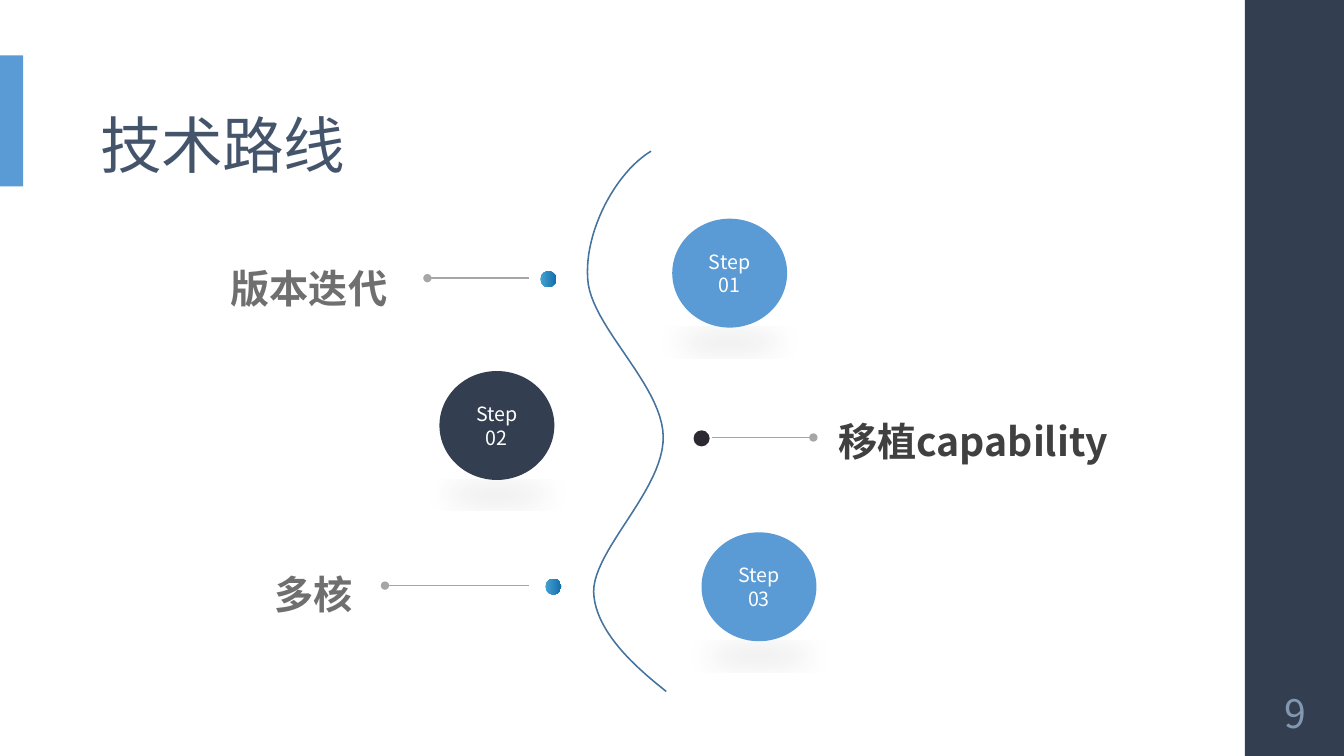
from lxml.etree import SubElement
from pptx import Presentation
from pptx.dml.color import RGBColor
from pptx.enum.shapes import MSO_CONNECTOR, MSO_SHAPE
from pptx.enum.text import MSO_ANCHOR, PP_ALIGN
from pptx.oxml.ns import qn
from pptx.util import Pt

FONT = "Noto Sans CJK SC"
COLORS = {
    "navy": "333F50", "blue": "5B9BD5", "title": "44546A", "number": "8497B0",
    "gray": "6F6F6F", "dark": "404040", "white": "FFFFFF", "wire": "A6A6A6",
    "curve": "43739E", "ink": "2D2933", "sky": "46A2D0", "deep": "146DAD",
    "shadow": "3F3F3F",
}


def rgb(name):
    return RGBColor.from_string(COLORS[name])


def set_all(target, values):
    for key, value in values.items():
        setattr(target, key, value)


class RoadmapSlide:
    def __init__(self, slide):
        self.shapes = slide.shapes

    def fill_text(self, frame, lines, color, size, bold=False, spacing=None,
                  tracking=None, align=PP_ALIGN.LEFT, anchor=MSO_ANCHOR.TOP,
                  insets=(7.2, 3.6)):
        side, end = (Pt(inset) for inset in insets)
        set_all(frame, {"word_wrap": True, "vertical_anchor": anchor,
                        "margin_left": side, "margin_right": side,
                        "margin_top": end, "margin_bottom": end})
        for index, line in enumerate(lines):
            paragraph = frame.add_paragraph() if index else frame.paragraphs[0]
            set_all(paragraph, {"alignment": align, "line_spacing": spacing})
            run = paragraph.add_run()
            run.text = line
            set_all(run.font, {"name": FONT, "size": Pt(size), "bold": bold})
            run.font.color.rgb = rgb(color)
            properties = run.font._element
            SubElement(properties, qn("a:ea")).set("typeface", FONT)
            if tracking:
                properties.set("spc", str(int(tracking * 100)))

    def text(self, box, line, **style):
        frame = self.shapes.add_textbox(*map(Pt, box)).text_frame
        self.fill_text(frame, [line], **style)

    def block(self, kind, box, *fills):
        shape = self.shapes.add_shape(kind, *map(Pt, box))
        shape.shadow.inherit = False
        shape.line.fill.background()
        if len(fills) > 1:
            shape.fill.gradient()
            shape.fill.gradient_angle = 0
            for stop, fill in zip(shape.fill.gradient_stops, fills):
                stop.color.rgb = rgb(fill)
        else:
            shape.fill.solid()
            shape.fill.fore_color.rgb = rgb(fills[0])
        return shape

    def step(self, left, top, fill, lines):
        circle = self.block(MSO_SHAPE.OVAL, (left, top, 82.1, 77.8), fill)
        self.fill_text(circle.text_frame, lines, color="white", size=14,
                       align=PP_ALIGN.CENTER, anchor=MSO_ANCHOR.MIDDLE)
        # Flattened soft shadow under the circle
        effects = circle._element.spPr.find(qn("a:effectLst"))
        shadow = SubElement(effects, qn("a:outerShdw"), {
            "blurRad": str(Pt(19)), "dist": str(Pt(3)), "dir": "5400000",
            "sx": "90000", "sy": "-19000", "rotWithShape": "0"})
        tint = SubElement(shadow, qn("a:srgbClr"), val=COLORS["shadow"])
        SubElement(tint, qn("a:alpha"), val="10000")

    def wire(self, start, end, y):
        wire = self.shapes.add_connector(
            MSO_CONNECTOR.STRAIGHT, Pt(start), Pt(y), Pt(end), Pt(y))
        wire.line.color.rgb = rgb("wire")
        wire.line.width = Pt(1)
        line_xml = wire._element.spPr.find(qn("a:ln"))
        SubElement(line_xml, qn("a:tailEnd"), type="oval")
        SubElement(wire._element.spPr, qn("a:effectLst"))

    def curve(self, start, bends, samples=24):
        points, p0 = [], start
        for p1, p2, p3 in bends:
            for t in (i / samples for i in range(1, samples + 1)):
                u = 1 - t
                points.append(tuple(
                    Pt(u**3 * a + 3 * u * u * t * b + 3 * u * t * t * c + t**3 * d)
                    for a, b, c, d in zip(p0, p1, p2, p3)))
            p0 = p3
        builder = self.shapes.build_freeform(*map(Pt, start))
        builder.add_line_segments(points, close=False)
        road = builder.convert_to_shape()
        road.shadow.inherit = False
        road.fill.background()
        road.line.color.rgb = rgb("curve")
        road.line.width = Pt(1.1)


deck = Presentation()
set_all(deck, {"slide_width": Pt(960), "slide_height": Pt(540)})
roadmap = RoadmapSlide(deck.slides.add_slide(deck.slide_layouts[6]))

# Side bar, accent, title and page number
roadmap.block(MSO_SHAPE.RECTANGLE, (889.2, 0, 70.8, 540), "navy")
roadmap.block(MSO_SHAPE.RECTANGLE, (0, 39.6, 16.6, 93.6), "blue")
roadmap.text((64.8, 74.9, 767.5, 58.3), "技术路线", color="title", size=44,
             spacing=0.9, tracking=-0.5, anchor=MSO_ANCHOR.BOTTOM)
roadmap.text((889.2, 486, 72, 46.8), "9", color="number", size=28,
             align=PP_ALIGN.CENTER, anchor=MSO_ANCHOR.MIDDLE, insets=(3.6, 3.6))

# Winding road
roadmap.curve((465.1, 108), [
    ((439.9, 123.1), (417.6, 164.9), (419.8, 198.7)),
    ((421.2, 232.6), (473, 274.3), (473.8, 311.8)),
    ((474.5, 349.2), (424.1, 392.4), (424.1, 422.6)),
    ((424.8, 453.6), (460.8, 481.7), (475.9, 493.9)),
])

# Steps: label, its box and colour, dot, wire, circle
RIGHT, LEFT = PP_ALIGN.RIGHT, PP_ALIGN.LEFT
BLUE_DOT = ("sky", "deep")
steps = [
    ("版本迭代", (146.9, 172.1, 136.8), "gray", RIGHT, (385.9, 193.7), BLUE_DOT,
     (378, 305.3, 198.7), (480.2, 156.2, "blue")),
    ("移植capability", (591.8, 281.5, 252.7), "dark", LEFT, (495.4, 307.4), ("ink",),
     (508.3, 581, 312.5), (313.9, 265, "navy")),
    ("多核", (154.8, 390.2, 104.4), "gray", RIGHT, (389.5, 413.3), BLUE_DOT,
     (378, 275, 418.3), (501.1, 380.2, "blue")),
]
for number, (label, box, color, align, dot, dot_fill, wire, circle) in enumerate(steps, 1):
    roadmap.block(MSO_SHAPE.OVAL, (*dot, 11.5, 11.5), *dot_fill)
    roadmap.wire(*wire)
    roadmap.text((*box, 44.6), label, color=color, size=28, bold=True,
                 spacing=1.5, align=align, insets=(7.2, 0))
    roadmap.step(*circle, ["Step", f"{number:02d}"])

deck.save("out.pptx")
